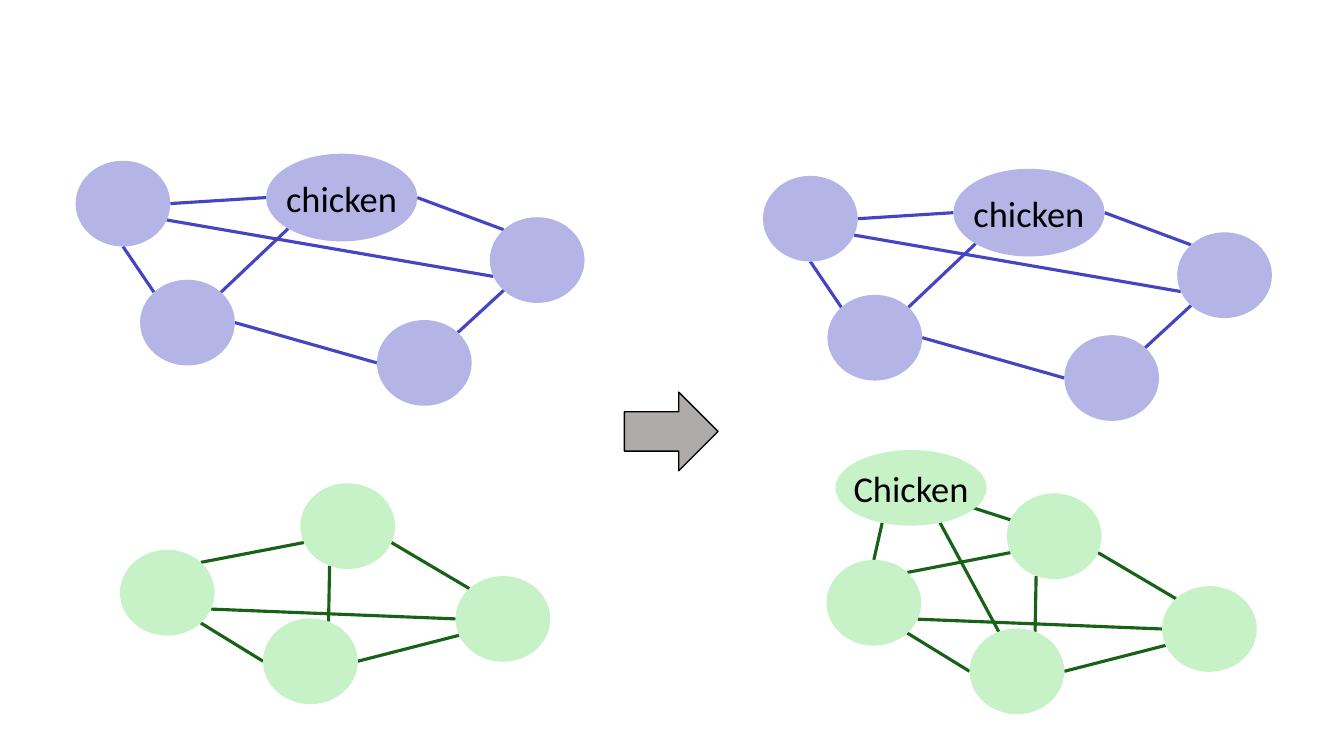
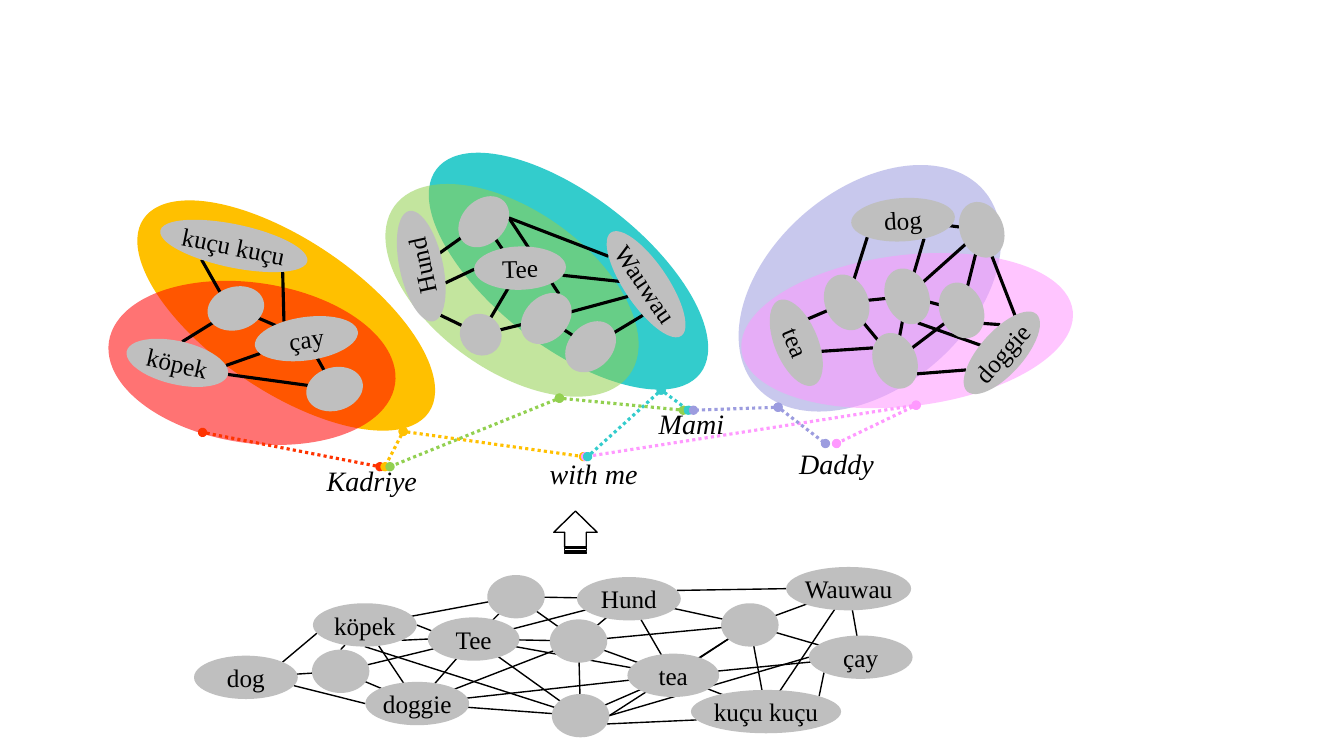
"""Word networks that grow and split by language and speaker."""
from dataclasses import dataclass, replace
from math import cos, radians, sin
from typing import NamedTuple

from lxml.etree import SubElement
from pptx import Presentation
from pptx.dml.color import RGBColor
from pptx.enum.dml import MSO_LINE
from pptx.enum.shapes import MSO_CONNECTOR, MSO_SHAPE
from pptx.enum.text import MSO_ANCHOR, PP_ALIGN
from pptx.oxml.ns import qn
from pptx.util import Cm, Pt

GRID_CM = 2.54
BLACK = RGBColor(0x00, 0x00, 0x00)
WHITE = RGBColor(0xFF, 0xFF, 0xFF)
GRAY = RGBColor(0xBF, 0xBF, 0xBF)
ARROW_GRAY = RGBColor(0xAF, 0xAB, 0xAB)
BLUE = RGBColor(0x45, 0x45, 0xC3)
PALE_BLUE = RGBColor(0xB4, 0xB4, 0xE6)
DARK_GREEN = RGBColor(0x18, 0x62, 0x18)
PALE_GREEN = RGBColor(0xC7, 0xF1, 0xC7)
GOLD = RGBColor(0xFF, 0xC0, 0x00)
RED = RGBColor(0xFF, 0x00, 0x00)
ORANGE_RED = RGBColor(0xFF, 0x33, 0x00)
TEAL = RGBColor(0x33, 0xCC, 0xCC)
LIME = RGBColor(0x92, 0xD0, 0x50)
LAVENDER = RGBColor(0x9C, 0x9C, 0xDF)
PINK = RGBColor(0xFF, 0x99, 0xFF)

COMPASS = ("N", "NNE", "NE", "ENE", "E", "ESE", "SE", "SSE",
           "S", "SSW", "SW", "WSW", "W", "WNW", "NW", "NNW")
COMPASS_STEP = 360 / len(COMPASS)
WORD_WIDTHS = {"Tee": 0.91, "tea": 0.91, "Wauwau": 1.24, "kuçu kuçu": 1.49,
               "chicken": 1.5, "Chicken": 1.5}
DEFAULT_WORD_WIDTH = 1.03


class Point(NamedTuple):
    """A position on the slide."""
    x: float
    y: float


class Stroke(NamedTuple):
    """The look of a line."""
    color: RGBColor
    width: float
    dotted: bool = False


class TextStyle(NamedTuple):
    """The look of a text."""
    font: str
    size: int
    italic: bool = False


class Node(NamedTuple):
    """The centre of a node, its turn, and a size where it is special."""
    x: float
    y: float
    angle: float = 0
    width: float = 0
    height: float = 0


class Edge(NamedTuple):
    """Two node names, each with an optional compass point on its rim."""
    start: str
    end: str


class Oval(NamedTuple):
    """A shape given by its centre, size and turn."""
    x: float
    y: float
    width: float
    height: float
    angle: float = 0

    def rim_point(self, direction: str) -> Point:
        """Find the rim point in a compass direction, or the centre."""
        if not direction:
            return Point(self.x, self.y)
        bearing = radians(COMPASS.index(direction) * COMPASS_STEP)
        turn = radians(self.angle)
        across = self.width / 2 * sin(bearing)
        down = -self.height / 2 * cos(bearing)
        return Point(self.x + across * cos(turn) - down * sin(turn),
                     self.y + across * sin(turn) + down * cos(turn))


class Area(NamedTuple):
    """A coloured region and the point where its dotted links leave."""
    oval: Oval
    color: RGBColor
    opacity: int
    exit: Point
    link_color: RGBColor


class Speaker(NamedTuple):
    """A name, and the areas whose links end side by side above it."""
    name: str
    label: Point
    first_link: Point
    link_gap: float
    areas: tuple[str, ...]


class NetworkStyle(NamedTuple):
    """Colours, text and blank node size of a network."""
    fill: RGBColor
    stroke: Stroke
    text: TextStyle
    width: float
    height: float


@dataclass(frozen=True)
class Network:
    """Named nodes, of which the words show their name, and edges."""
    style: NetworkStyle
    words: dict[str, Node]
    blanks: dict[str, Node]
    edges: list[Edge]
    areas: tuple[str, ...] = ()

    def ovals(self, offset: Point) -> dict[str, Oval]:
        """Size and place every node."""
        result = {}
        for name, node in {**self.blanks, **self.words}.items():
            usual = WORD_WIDTHS.get(name, DEFAULT_WORD_WIDTH) if name in self.words else self.style.width
            result[name] = Oval(node.x + offset.x, node.y + offset.y, node.width or usual,
                                node.height or self.style.height, node.angle)
        return result


ORIGIN = Point(0, 0)
SPEAKER_TEXT = TextStyle("Times New Roman", 20, italic=True)
SPEAKER_WIDTH, SPEAKER_HEIGHT = 1.66, 0.44
GROWTH_TEXT = TextStyle("Calibri", 26)
WORD_TEXT = TextStyle("Times New Roman", 18)
THIN = Stroke(BLACK, 1)
BLUE_STYLE = NetworkStyle(PALE_BLUE, Stroke(BLUE, 2.25), GROWTH_TEXT, 0.94, 0.85)
GREEN_STYLE = NetworkStyle(PALE_GREEN, Stroke(DARK_GREEN, 2.25), GROWTH_TEXT, 0.94, 0.85)
MIXED_STYLE = NetworkStyle(GRAY, THIN, WORD_TEXT, 0.57, 0.43)
LANGUAGE_STYLE = MIXED_STYLE._replace(stroke=Stroke(BLACK, 2.25))

BLUE_NETWORK = Network(
    BLUE_STYLE,
    {"chicken": Node(3.39, 1.96, height=0.87)},
    {"west": Node(1.22, 2.02), "southwest": Node(1.86, 3.2), "south": Node(4.21, 3.6),
     "east": Node(5.33, 2.58)},
    [Edge("west.S", "southwest.NW"), Edge("west.E", "chicken.W"), Edge("south.W", "southwest.E"),
     Edge("chicken.SW", "southwest.NE"), Edge("chicken.E", "east.NW"),
     Edge("south.NE", "east.SW"), Edge("west.ESE", "east.WSW")])
GREEN_NETWORK = Network(
    GREEN_STYLE, {},
    {"north": Node(3.45, 5.22), "west": Node(1.66, 5.88), "east": Node(4.99, 6.14),
     "south": Node(3.08, 6.56)},
    [Edge("west.NE", "north.WSW"), Edge("north.SSW", "south.NNE"), Edge("west.SE", "south.W"),
     Edge("north.ESE", "east.NW"), Edge("south.E", "east.WSW"), Edge("west.ESE", "east.W")])
GROWN_GREEN_NETWORK = replace(
    GREEN_NETWORK,
    words={"Chicken": Node(2.03, 4.74, height=0.75)},
    edges=[Edge("Chicken", "north.WNW"), Edge("Chicken.SSE", "south.NNW"),
           Edge("Chicken.SSW", "west.N"), *GREEN_NETWORK.edges])

MIXED_NETWORK = Network(
    MIXED_STYLE,
    {"doggie": Node(4.14, 6.98), "Wauwau": Node(8.42, 5.84), "çay": Node(8.54, 6.52),
     "kuçu kuçu": Node(7.6, 7.06), "tea": Node(6.68, 6.7), "Hund": Node(6.24, 5.94),
     "Tee": Node(4.7, 6.34), "köpek": Node(3.62, 6.2), "dog": Node(2.44, 6.72)},
    {"south": Node(5.76, 7.1), "east": Node(7.44, 6.2), "middle": Node(5.74, 6.36),
     "north": Node(5.12, 5.92), "west": Node(3.38, 6.66)},
    [Edge("köpek", "doggie"), Edge("köpek", "north"), Edge("köpek.E", "Tee.WNW"),
     Edge("köpek.SE", "Tee.W"), Edge("köpek.S", "south"), Edge("köpek.SSW", "west.N"),
     Edge("köpek.WSW", "dog.NE"), Edge("dog", "west"), Edge("dog.ESE", "doggie.W"),
     Edge("west", "doggie"), Edge("west", "Tee"), Edge("doggie", "south"), Edge("doggie", "tea"),
     Edge("doggie", "middle"), Edge("Tee", "doggie"), Edge("Tee", "middle"), Edge("Tee", "south"),
     Edge("Tee", "tea"), Edge("Tee", "north"), Edge("Tee", "Hund"), Edge("middle", "north"),
     Edge("middle", "Hund"), Edge("middle", "south"), Edge("middle", "east"),
     Edge("middle", "tea"), Edge("Hund", "north"), Edge("Hund", "east"), Edge("Hund", "tea"),
     Edge("Hund.ENE", "Wauwau.W"), Edge("tea", "east"), Edge("tea", "kuçu kuçu"),
     Edge("tea", "çay"), Edge("south", "tea"), Edge("south.E", "çay.W"), Edge("south.E", "east"),
     Edge("south.ESE", "kuçu kuçu.WSW"), Edge("east", "kuçu kuçu"), Edge("east", "çay"),
     Edge("east", "Wauwau"), Edge("kuçu kuçu.NE", "çay.SW"), Edge("kuçu kuçu", "Wauwau"),
     Edge("çay", "Wauwau")])
TURKISH_NETWORK = Network(
    LANGUAGE_STYLE,
    {"köpek": Node(1.76, 3.6, 12.9), "kuçu kuçu": Node(2.32, 2.44, 11.8),
     "çay": Node(3.04, 3.36, 352.1)},
    {"middle": Node(2.34, 3.06, 344.7), "south": Node(3.32, 3.86, 344.7)},
    [Edge("köpek.N", "middle"), Edge("köpek.ENE", "çay.WSW"), Edge("köpek.E", "south"),
     Edge("middle", "çay"), Edge("south", "çay"), Edge("kuçu kuçu.SE", "çay.NNW"),
     Edge("kuçu kuçu.SSW", "middle.NNW")],
    ("gold", "red"))
GERMAN_NETWORK = Network(
    LANGUAGE_STYLE,
    {"Hund": Node(4.18, 2.64, 257.6, 1.12), "Wauwau": Node(6.41, 2.82, 55.8),
     "Tee": Node(5.16, 2.66, 358.5)},
    {"north": Node(4.8, 2.2, 314.4), "middle": Node(5.42, 3.16, 314.4),
     "southeast": Node(5.86, 3.44, 314.4), "southwest": Node(4.77, 3.32, 314.4, 0.4)},
    [Edge("Hund.WSW", "southwest"), Edge("Hund", "north"), Edge("Hund.SSW", "Tee.W"),
     Edge("Tee", "southwest"), Edge("Tee.NNW", "north"), Edge("Tee.ESE", "Wauwau"),
     Edge("north.SE", "middle.ENE"), Edge("north.SE", "Wauwau.SW"), Edge("middle", "southeast"),
     Edge("middle", "southwest"), Edge("middle", "Wauwau.S"), Edge("southeast", "Wauwau.SSE")],
    ("teal", "lime"))
ENGLISH_NETWORK = Network(
    LANGUAGE_STYLE,
    {"dog": Node(8.96, 2.18, 356.7), "tea": Node(7.9, 3.4, 67.7),
     "doggie": Node(9.94, 3.5, 311.8)},
    {"west": Node(8.4, 3, 67.7), "middle": Node(9, 2.94, 67.7), "east": Node(9.54, 3.08, 67.7),
     "south": Node(8.88, 3.58, 67.7), "northeast": Node(9.74, 2.28, 67.7)},
    [Edge("dog.SSE", "middle"), Edge("dog", "northeast"), Edge("dog.SW", "west"),
     Edge("northeast", "east"), Edge("northeast", "middle"), Edge("northeast", "doggie.NE"),
     Edge("middle", "east"), Edge("middle", "south"), Edge("middle", "west"),
     Edge("middle.E", "doggie"), Edge("tea.NNW", "west"), Edge("tea.NNE", "south.SW"),
     Edge("south", "west"), Edge("south", "east"), Edge("south.NE", "doggie.NW"),
     Edge("east.NE", "doggie.NNE")],
    ("lavender", "pink"))

AREAS = {
    "gold": Area(Oval(2.84, 3.13, 3.42, 1.5, 214.1), GOLD, 100, Point(4, 4.28), GOLD),
    "red": Area(Oval(2.5, 3.6, 2.87, 1.59, 188.4), RED, 55, Point(2.01, 4.29), ORANGE_RED),
    "teal": Area(Oval(5.64, 2.69, 3.31, 1.5, 217.8), TEAL, 100, Point(6.56, 3.87), TEAL),
    "lime": Area(Oval(5.08, 2.88, 2.87, 1.59, 215.5), LIME, 55, Point(5.55, 3.95), LIME),
    "lavender": Area(Oval(8.63, 2.86, 2.98, 1.97, 319.6), LAVENDER, 55, Point(7.72, 4.04), LAVENDER),
    "pink": Area(Oval(9, 3.28, 3.31, 1.5, 173.2), PINK, 56, Point(9.09, 4.02), PINK)}
SPEAKERS = [
    Speaker("with me", Point(5.06, 4.48), Point(5.79, 4.53), 0.02, ("gold", "pink", "teal")),
    Speaker("Kadriye", Point(2.86, 4.55), Point(3.77, 4.63), 0.05, ("red", "gold", "lime")),
    Speaker("Mami", Point(6.03, 3.98), Point(6.78, 4.07), 0.05, ("lime", "teal", "lavender")),
    Speaker("Daddy", Point(7.47, 4.38), Point(8.19, 4.4), 0.11, ("lavender", "pink"))]


def grid(*values: float) -> list[Cm]:
    """Turn grid units into lengths."""
    return [Cm(value * GRID_CM) for value in values]


def draw_line(shapes, start: Point, end: Point, stroke: Stroke) -> None:
    """Draw a line, with round ends when it is dotted."""
    connector = shapes.add_connector(MSO_CONNECTOR.STRAIGHT, *grid(*start, *end))
    connector.line.color.rgb = stroke.color
    connector.line.width = Pt(stroke.width)
    properties = connector.element.spPr
    if stroke.dotted:
        connector.line.dash_style = MSO_LINE.ROUND_DOT
        for end_tag in ("a:headEnd", "a:tailEnd"):
            SubElement(properties.find(qn("a:ln")), qn(end_tag), type="oval")
    SubElement(properties, qn("a:effectLst"))


def draw_shape(shapes, kind: MSO_SHAPE, oval: Oval, color: RGBColor, outline: Stroke | None = None):
    """Draw a filled preset shape around its centre and return it."""
    left, top = oval.x - oval.width / 2, oval.y - oval.height / 2
    shape = shapes.add_shape(kind, *grid(left, top, oval.width, oval.height))
    shape.rotation = oval.angle
    shape.shadow.inherit = False
    shape.fill.solid()
    shape.fill.fore_color.rgb = color
    if outline:
        shape.line.color.rgb = outline.color
        shape.line.width = Pt(outline.width)
    else:
        shape.line.fill.background()
    return shape


def write_text(text_frame, text: str, style: TextStyle) -> None:
    """Set one centred line of text and format it."""
    text_frame.text = text
    paragraph = text_frame.paragraphs[0]
    paragraph.alignment = PP_ALIGN.CENTER
    font = paragraph.runs[0].font
    font.name, font.size, font.italic = style.font, Pt(style.size), style.italic
    font.color.rgb = BLACK


def draw_area(shapes, area: Area) -> None:
    """Draw a region with its opacity."""
    shape = draw_shape(shapes, MSO_SHAPE.OVAL, area.oval, area.color)
    if area.opacity < 100:
        color = shape.element.spPr.find(qn("a:solidFill")).find(qn("a:srgbClr"))
        SubElement(color, qn("a:alpha"), val=str(area.opacity * 1000))


def draw_network(shapes, network: Network, offset: Point = ORIGIN) -> None:
    """Draw areas, then edges, then nodes, moved by an offset."""
    ovals = network.ovals(offset)
    for area in network.areas:
        draw_area(shapes, AREAS[area])
    for edge in network.edges:
        ends = []
        for reference in edge:
            name, _, direction = reference.partition(".")
            ends.append(ovals[name].rim_point(direction))
        draw_line(shapes, *ends, network.style.stroke)
    for name, oval in ovals.items():
        shape = draw_shape(shapes, MSO_SHAPE.OVAL, oval, network.style.fill)
        if name in network.words:
            frame = shape.text_frame
            frame.margin_left = frame.margin_right = frame.margin_top = frame.margin_bottom = 0
            frame.word_wrap = False
            frame.vertical_anchor = MSO_ANCHOR.MIDDLE
            write_text(frame, name, network.style.text)


def draw_speaker(shapes, speaker: Speaker) -> None:
    """Draw a name and its dotted links to the areas."""
    text_box = shapes.add_textbox(*grid(*speaker.label, SPEAKER_WIDTH, SPEAKER_HEIGHT))
    text_box.text_frame.word_wrap = True
    write_text(text_box.text_frame, speaker.name, SPEAKER_TEXT)
    for index, name in enumerate(speaker.areas):
        link_end = speaker.first_link._replace(x=speaker.first_link.x + index * speaker.link_gap)
        draw_line(shapes, AREAS[name].exit, link_end, Stroke(AREAS[name].link_color, 2.25, True))


def build_growth_slide(shapes) -> None:
    """Show a second network gaining a word."""
    for network, offset in ((BLUE_NETWORK, ORIGIN), (GREEN_NETWORK, ORIGIN),
                            (BLUE_NETWORK, Point(6.82, 0.15)),
                            (GROWN_GREEN_NETWORK, Point(7.01, 0.1))):
        draw_network(shapes.add_group_shape().shapes, network, offset)
    draw_shape(shapes, MSO_SHAPE.RIGHT_ARROW, Oval(6.66, 4.28, 0.93, 0.78), ARROW_GRAY, THIN)


def build_speaker_slide(shapes) -> None:
    """Show one mixed network split by language and speaker."""
    draw_network(shapes, MIXED_NETWORK)
    draw_network(shapes, TURKISH_NETWORK)
    for speaker in SPEAKERS:
        draw_speaker(shapes, speaker)
    draw_shape(shapes, MSO_SHAPE.STRIPED_RIGHT_ARROW, Oval(5.71, 5.28, 0.42, 0.43, 270), WHITE, THIN)
    draw_network(shapes, GERMAN_NETWORK)
    draw_network(shapes, ENGLISH_NETWORK)


def main() -> None:
    """Build and save the presentation."""
    presentation = Presentation()
    presentation.slide_width, presentation.slide_height = Cm(33.87), Cm(19.05)
    for build in (build_growth_slide, build_speaker_slide):
        build(presentation.slides.add_slide(presentation.slide_layouts[6]).shapes)
    presentation.save("out.pptx")


if __name__ == "__main__":
    main()
